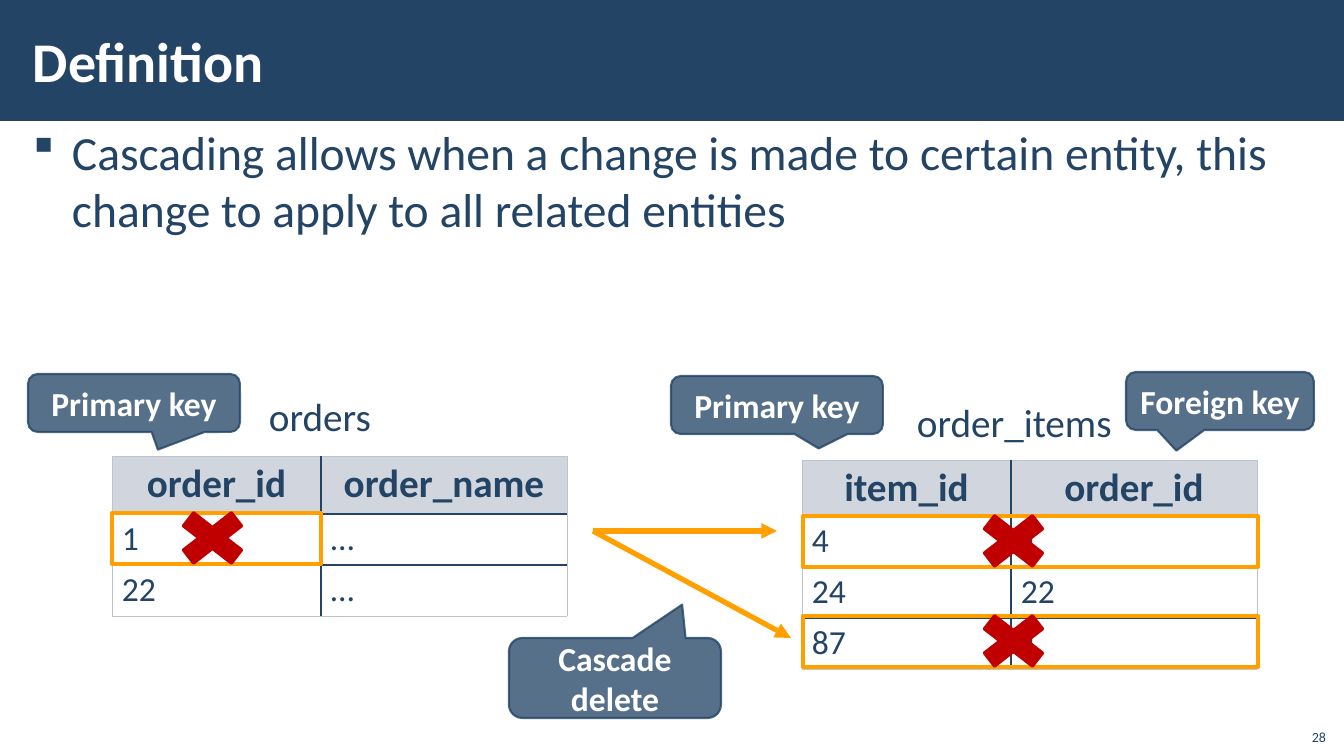
import lxml.etree
import pptx
import pptx.dml.color
import pptx.enum.shapes
import pptx.enum.text
import pptx.oxml.ns
import pptx.util

PX = 914400 / 100.8
FONT = "Calibri"
COLORS = {
    "navy": "234465",
    "slate": "4F6984",
    "header": "D1D5DD",
    "edge": "BFC3CA",
    "orange": "FFA000",
    "red": "C00000",
    "white": "FFFFFF",
}
SHAPES = pptx.enum.shapes.MSO_SHAPE
ALIGN = pptx.enum.text.PP_ALIGN
ANCHOR = pptx.enum.text.MSO_ANCHOR
qn = pptx.oxml.ns.qn


def px(*lengths):
    return [pptx.util.Emu(round(length * PX)) for length in lengths]


def color(name):
    return pptx.dml.color.RGBColor.from_string(COLORS[name])


def child(parent, tag, **attributes):
    return lxml.etree.SubElement(parent, qn(tag), attributes)


def write(frame, text, size, tint="navy", bold=False, align=ALIGN.LEFT):
    """Fill the first paragraph of a text frame with one run."""
    para = frame.paragraphs[0]
    para.alignment = align
    span = para.add_run()
    span.text = text
    span.font.name = FONT
    span.font.size = pptx.util.Pt(size)
    span.font.bold = bold
    span.font.color.rgb = color(tint)
    return para


def set_margins(target, side, top):
    target.margin_left, target.margin_right = px(side, side)
    target.margin_top, target.margin_bottom = px(top, top)


def add_text(page, box, text, size, wrap=True, anchor=ANCHOR.TOP, side=10, **style):
    frame = page.shapes.add_textbox(*px(*box)).text_frame
    frame.word_wrap = wrap
    frame.vertical_anchor = anchor
    set_margins(frame, side, 5)
    return write(frame, text, size, **style)


def add_shape(page, kind, box, fill=None, line=None, width=1):
    shape = page.shapes.add_shape(kind, *px(*box))
    shape.shadow.inherit = False
    if fill:
        shape.fill.solid()
        shape.fill.fore_color.rgb = color(fill)
    else:
        shape.fill.background()
    if line:
        shape.line.color.rgb = color(line)
        shape.line.width = pptx.util.Pt(width)
    else:
        shape.line.fill.background()
    return shape


def add_callout(page, box, text, tip):
    """Place a translucent callout; tip is the pointer offset from its centre."""
    shape = add_shape(page, SHAPES.ROUNDED_RECTANGULAR_CALLOUT, box, "slate", "navy", 1.5)
    shape.adjustments[0], shape.adjustments[1] = tip
    shape.adjustments[2] = 0.167
    fill, line = shape._element.spPr.iter(qn("a:srgbClr"))
    child(fill, "a:alpha", val="95000")
    child(line, "a:alpha", val="80000")
    shape.text_frame.word_wrap = True
    shape.text_frame.vertical_anchor = ANCHOR.MIDDLE
    write(shape.text_frame, text, 24, "white", True, ALIGN.CENTER)


def add_arrow(page, start, end):
    arrow = page.shapes.add_connector(
        pptx.enum.shapes.MSO_CONNECTOR.STRAIGHT, *px(*start, *end))
    arrow.line.color.rgb = color("orange")
    arrow.line.width = pptx.util.Pt(3.75)
    child(arrow.line._get_or_add_ln(), "a:tailEnd", type="triangle")
    child(arrow._element.spPr, "a:effectLst")


def set_borders(cell, outer):
    """Draw cell borders, lighter on the sides that face outwards."""
    properties = cell._tc.get_or_add_tcPr()
    for position, side in enumerate("LRTB"):
        width, tint = (6350, "edge") if side in outer else (12700, "navy")
        line = lxml.etree.Element(qn("a:ln" + side), w=str(width))
        child(child(line, "a:solidFill"), "a:srgbClr", val=COLORS[tint])
        properties.insert(position, line)


def add_entity_table(page, left, top, header_height, rows):
    widths, row_height = (209, 246), 51
    height = header_height + row_height * (len(rows) - 1)
    table = page.shapes.add_table(
        len(rows), len(widths), *px(left, top, sum(widths), height)).table
    table.horz_banding = False
    for column, width in zip(table.columns, px(*widths)):
        column.width = width
    for r, values in enumerate(rows):
        table.rows[r].height = px(row_height if r else header_height)[0]
        for c, value in enumerate(values):
            cell = table.cell(r, c)
            if r:
                cell.fill.background()
                set_margins(cell, 10, 5)
                write(cell.text_frame, value, 24)
            else:
                cell.fill.solid()
                cell.fill.fore_color.rgb = color("header")
                set_margins(cell, 17, 5)
                para = write(cell.text_frame, value, 28, bold=True, align=ALIGN.CENTER)
                para.line_spacing = 0.95
            outer = "LR"[c]
            if r == 0:
                outer += "T"
            if r == len(rows) - 1:
                outer += "B"
            set_borders(cell, outer)


def mark_deleted(page, box, cross_center):
    """Outline a record and cross it out."""
    add_shape(page, SHAPES.RECTANGLE, box, line="orange", width=3)
    x, y = cross_center
    add_shape(page, SHAPES.MATH_MULTIPLY, (x - 46, y - 36, 93, 72), "red", "red", 2)


def add_heading(page):
    add_shape(page, SHAPES.RECTANGLE, (0, 0, 1344, 121), "navy")
    add_text(page, (21, 11, 1072, 98), "Definition", 40, side=12,
             anchor=ANCHOR.MIDDLE, tint="white", bold=True)


def add_body(page):
    para = add_text(
        page, (21, 118, 1301, 614),
        "Cascading allows when a change is made to certain entity, "
        "this change to apply to all related entities", 34, side=12)
    para.space_before = para.space_after = pptx.util.Pt(6)
    properties = para._p.get_or_add_pPr()
    indent = px(39)[0]
    properties.set("marL", str(indent))
    properties.set("indent", str(-indent))
    child(properties, "a:buFont", typeface="Wingdings")
    child(properties, "a:buChar", char="§")


def add_orders(page, left, top):
    add_text(page, (left + 147, top - 69, 124, 57), "orders", 28, wrap=False)
    add_callout(page, (left - 84, top - 82, 212, 58), "Primary key", (0.113, 0.804))
    add_entity_table(page, left, top, 58,
                     [("order_id", "order_name"), ("1", "…"), ("22", "…")])
    mark_deleted(page, (left, top + 57, 209, 51), (left + 100, top + 82))


def add_order_items(page, left, top):
    add_text(page, (left + 105, top - 67, 224, 57), "order_items", 28, wrap=False)
    add_callout(page, (left - 131, top - 84, 212, 58), "Primary key", (0.197, 0.749))
    add_callout(page, (left + 324, top - 88, 188, 58), "Foreign key", (-0.232, 0.857))
    add_entity_table(page, left, top, 56,
                     [("item_id", "order_id"), ("4", "1"), ("24", "22"), ("87", "1")])
    for offset in (56, 156):
        mark_deleted(page, (left + 1, top + offset, 455, 51),
                     (left + 211, top + offset + 25))


def add_cascade(page):
    start = (593, 531)
    for end in ((777, 531), (791, 638)):
        add_arrow(page, start, end)
    add_callout(page, (509, 638, 212, 80), "Cascade delete", (0.317, -0.917))


def main():
    deck = pptx.Presentation()
    deck.slide_width, deck.slide_height = px(1344, 756)
    page = deck.slides.add_slide(deck.slide_layouts[6])
    add_heading(page)
    add_body(page)
    add_cascade(page)
    add_orders(page, 112, 456)
    add_order_items(page, 802, 460)
    add_text(page, (1295, 718, 41, 32), "28", 10,
             anchor=ANCHOR.BOTTOM, align=ALIGN.RIGHT)
    deck.save("out.pptx")


if __name__ == "__main__":
    main()
